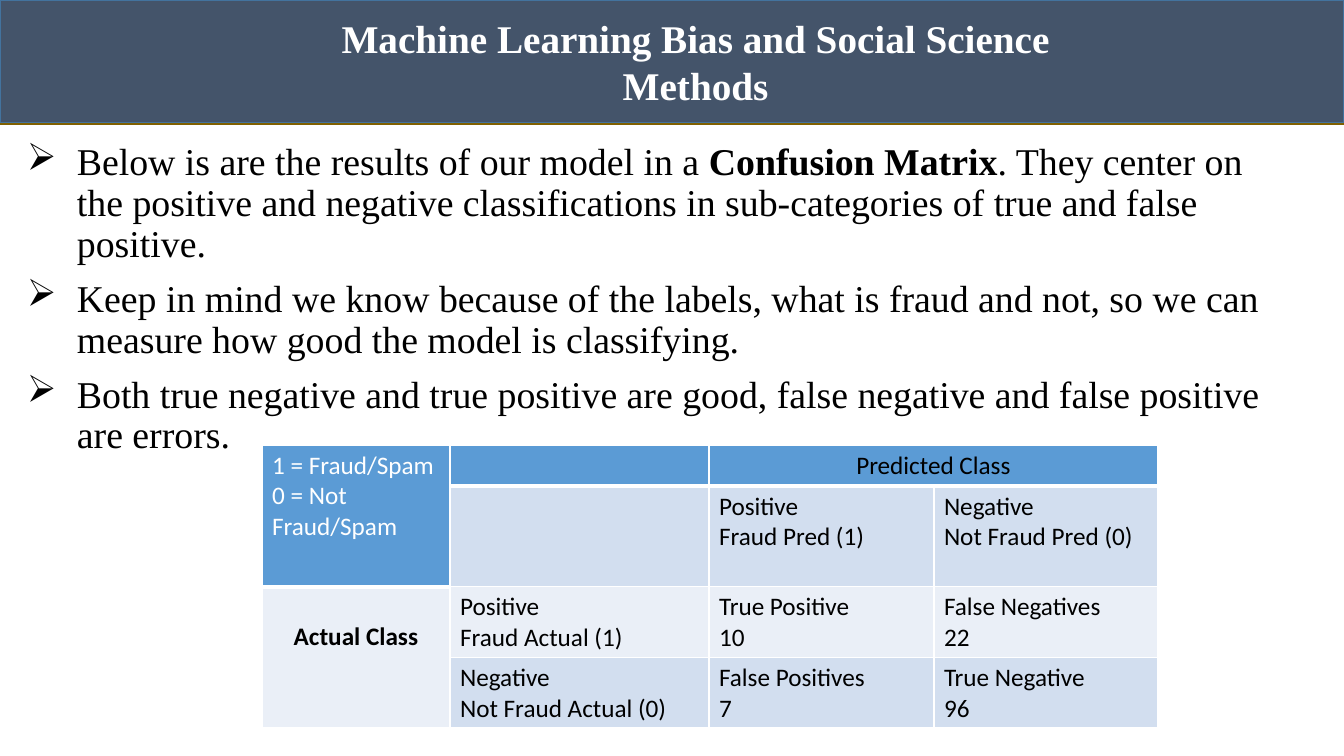
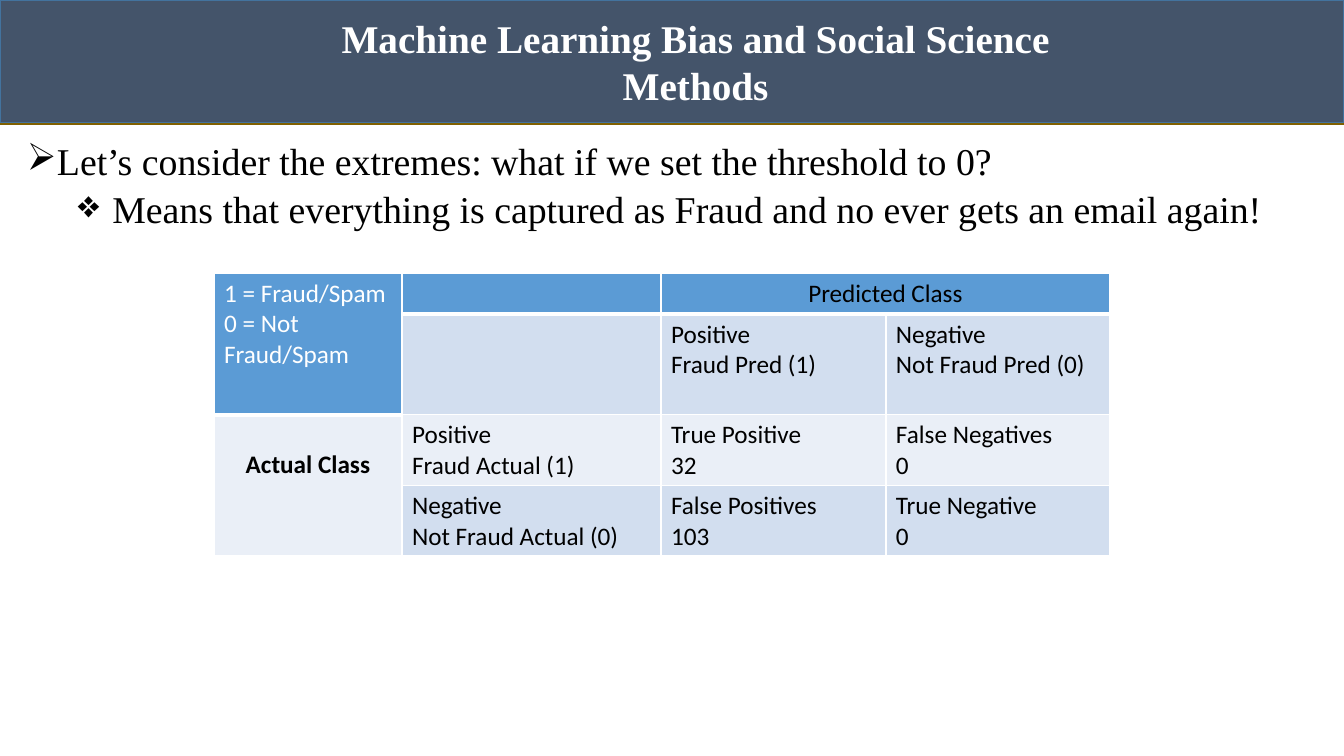
from lxml.etree import SubElement
from pptx import Presentation
from pptx.dml.color import RGBColor
from pptx.enum.shapes import MSO_CONNECTOR, MSO_SHAPE
from pptx.enum.text import PP_ALIGN
from pptx.oxml.ns import qn
from pptx.util import Emu, Pt

WHITE = RGBColor(0xFF, 0xFF, 0xFF)
BLACK = RGBColor(0x00, 0x00, 0x00)
SLATE = RGBColor(0x44, 0x54, 0x6A)
BAND_EDGE = RGBColor(0x43, 0x73, 0x9E)
GOLD = RGBColor(0x80, 0x60, 0x00)
HEADER_BLUE = RGBColor(0x5B, 0x9B, 0xD5)
MID_BLUE = RGBColor(0xD2, 0xDE, 0xEF)
PALE_BLUE = RGBColor(0xEA, 0xEF, 0xF7)
SERIF, SANS = "Times New Roman", "Calibri"
WIDTH, HEIGHT = 1344, 756
COLUMN_WIDTHS = [188, 259, 225, 224]
ROW_HEIGHTS = [41, 100, 70, 70]
ROW_FILLS = [HEADER_BLUE, MID_BLUE, PALE_BLUE, MID_BLUE]
TITLE = "Machine Learning Bias and Social Science Methods"


def px(pixels):
    return Emu(round(pixels * 914400 / 100.8))


def style(paragraph, font_name, size, color, bold=False):
    for run in paragraph.runs:
        run.font.name = font_name
        run.font.size = Pt(size)
        run.font.color.rgb = color
        run.font.bold = bold


# Each bullet: symbol, level, left margin, hanging indent, space before, text parts (every second one bold)
SLIDES = [
    {
        "bullets": [
            ("➢", 0, 50, 50, 10, [
                "Below is are the results of our model in a ", "Confusion Matrix",
                ". They center on the positive and negative classifications in "
                "sub-categories of true and false positive."]),
            ("➢", 0, 50, 50, 10, [
                "Keep in mind we know because of the labels, what is fraud and not, "
                "so we can measure how good the model is classifying."]),
            ("➢", 0, 50, 50, 10, [
                "Both true negative and true positive are good, false negative and "
                "false positive are errors."]),
        ],
        "matrix_at": (262, 445),
        "counts": (10, 22, 7, 96),
    },
    {
        "bullets": [
            ("➢", 0, 25, 25, 10, [
                "Let’s consider the extremes: what if we set the threshold to 0?"]),
            ("❖", 1, 76, 25, 5, [
                " Means that everything is captured as Fraud and no ever gets an email again!"]),
        ],
        "matrix_at": (214, 273),
        "counts": (32, 0, 103, 0),
    },
]

deck = Presentation()
deck.slide_width, deck.slide_height = px(WIDTH), px(HEIGHT)

for content in SLIDES:
    slide = deck.slides.add_slide(deck.slide_layouts[6])

    band = slide.shapes.add_shape(MSO_SHAPE.RECTANGLE, 0, 0, px(WIDTH), px(123))
    band.shadow.inherit = False
    band.fill.solid()
    band.fill.fore_color.rgb = SLATE
    band.line.color.rgb = BAND_EDGE
    band.line.width = Pt(1)

    rule = slide.shapes.add_connector(MSO_CONNECTOR.STRAIGHT, 0, px(124), px(WIDTH), px(124))
    rule.line.color.rgb = GOLD
    rule.line.width = Pt(2)
    SubElement(rule._element.spPr, qn("a:effectLst"))

    title = slide.shapes.add_textbox(px(323), px(9), px(745), px(105)).text_frame
    title.word_wrap = True
    title.text = TITLE
    title.paragraphs[0].alignment = PP_ALIGN.CENTER
    style(title.paragraphs[0], SERIF, 28, WHITE, True)

    body = slide.shapes.add_textbox(px(17), px(138), px(1291), px(270)).text_frame
    body.word_wrap = True
    for index, (symbol, level, margin, hang, before, parts) in enumerate(content["bullets"]):
        bullet = body.add_paragraph() if index else body.paragraphs[0]
        bullet.level = level
        bullet.line_spacing = 0.9
        bullet.space_before = Pt(before)
        for part in parts:
            bullet.add_run().text = part
        style(bullet, SERIF, 27, BLACK)
        for emphasis in bullet.runs[1::2]:
            emphasis.font.bold = True
        properties = bullet._p.get_or_add_pPr()
        properties.set("marL", str(px(margin)))
        properties.set("indent", str(-px(hang)))
        SubElement(properties, qn("a:buChar"), char=symbol)

    true_pos, false_neg, false_pos, true_neg = content["counts"]
    cells = [
        ["1 = Fraud/Spam\n0 = Not Fraud/Spam", "", "Predicted Class", ""],
        ["", "", "Positive\nFraud Pred (1)", "Negative\nNot Fraud Pred (0)"],
        ["Actual Class", "Positive\nFraud Actual (1)",
         f"True Positive\n{true_pos}", f"False Negatives\n{false_neg}"],
        ["", "Negative\nNot Fraud Actual (0)",
         f"False Positives\n{false_pos}", f"True Negative\n{true_neg}"],
    ]
    left, top = content["matrix_at"]
    matrix = slide.shapes.add_table(
        4, 4, px(left), px(top), px(sum(COLUMN_WIDTHS)), px(sum(ROW_HEIGHTS))).table
    for column, width in zip(matrix.columns, COLUMN_WIDTHS):
        column.width = px(width)
    for r, (height, row_fill) in enumerate(zip(ROW_HEIGHTS, ROW_FILLS)):
        matrix.rows[r].height = px(height)
        for c, text in enumerate(cells[r]):
            cell = matrix.cell(r, c)
            cell.text = text
            for paragraph in cell.text_frame.paragraphs:
                style(paragraph, SANS, 18, WHITE if (r, c) == (0, 0) else BLACK)
            cell_properties = cell._tc.get_or_add_tcPr()
            for side in ("lnL", "lnR", "lnT", "lnB"):
                weight = 3 if r == 0 and side == "lnB" else 1
                border = SubElement(cell_properties, qn(f"a:{side}"), w=str(Pt(weight)))
                SubElement(SubElement(border, qn("a:solidFill")), qn("a:srgbClr"), val=str(WHITE))
            cell.fill.solid()
            cell.fill.fore_color.rgb = row_fill

    matrix.cell(0, 0).merge(matrix.cell(1, 0))
    matrix.cell(0, 2).merge(matrix.cell(0, 3))
    matrix.cell(2, 0).merge(matrix.cell(3, 0))
    predicted, actual = matrix.cell(0, 2), matrix.cell(2, 0)
    for heading in (predicted, actual):
        heading.text_frame.paragraphs[0].alignment = PP_ALIGN.CENTER
    style(actual.text_frame.paragraphs[0], SANS, 18, BLACK, True)
    actual.margin_top, actual.margin_bottom = px(35), 0

deck.save("out.pptx")
